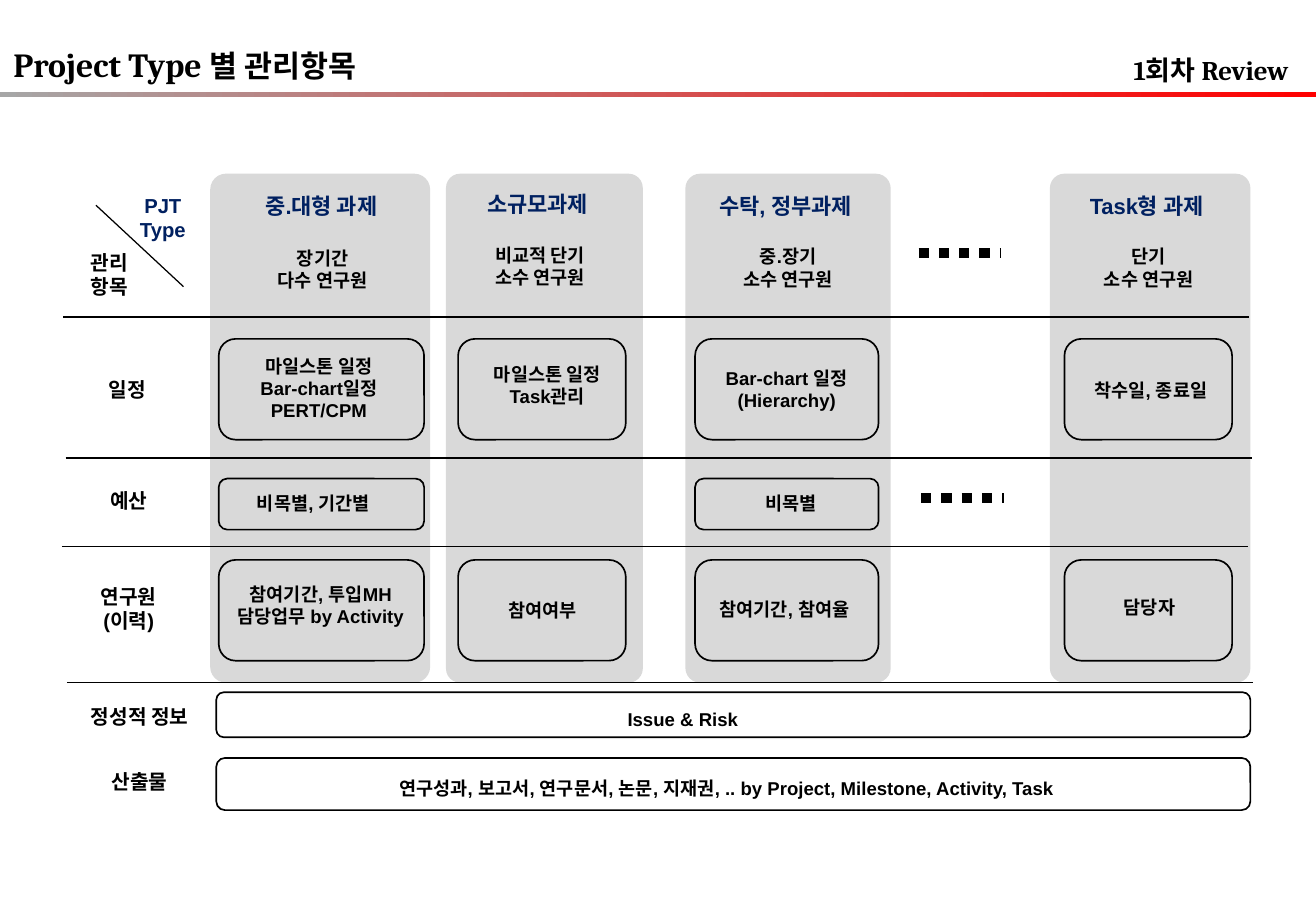
from collections import namedtuple
from dataclasses import dataclass

from lxml import etree
from pptx import Presentation
from pptx.dml.color import RGBColor
from pptx.enum.dml import MSO_LINE
from pptx.enum.shapes import MSO_CONNECTOR, MSO_SHAPE
from pptx.enum.text import MSO_ANCHOR, MSO_AUTO_SIZE, PP_ALIGN
from pptx.oxml.ns import qn
from pptx.util import Inches, Pt

BAR, ROUNDED = MSO_SHAPE.RECTANGLE, MSO_SHAPE.ROUNDED_RECTANGLE
STRAIGHT, DOTTED = MSO_CONNECTOR.STRAIGHT, MSO_LINE.ROUND_DOT
LEFT, CENTER, TOP = PP_ALIGN.LEFT, PP_ALIGN.CENTER, MSO_ANCHOR.TOP
FIXED_SIZE = MSO_AUTO_SIZE.NONE

Box = namedtuple("Box", "left top width height")
# Text offsets (x, y, width) are measured from the column's top left corner
Label = namedtuple("Label", "x y width lines")
Column = namedtuple("Column", "left width card_x card_width head note cards")


@dataclass(frozen=True)
class Theme:
    ink: RGBColor = RGBColor(0x00, 0x00, 0x00)
    navy: RGBColor = RGBColor(0x00, 0x20, 0x60)
    panel: RGBColor = RGBColor(0xD9, 0xD9, 0xD9)
    bar_start: RGBColor = RGBColor(0xA6, 0xA6, 0xA6)
    bar_end: RGBColor = RGBColor(0xFF, 0x00, 0x00)
    heading_font: str = "Cambria"
    body_font: str = "Arial"
    title: int = 20
    title_korean: int = 18
    review: int = 16
    head: int = 13
    label: int = 12
    body: int = 11


THEME = Theme()

# Card rows: top measured from the panel top, and height
CARD_ROWS = {"schedule": (1.36, 0.83), "budget": (2.51, 0.42), "people": (3.18, 0.83)}

COLUMNS = [
    Column(1.73, 1.81, 0.07, 1.69,
           Label(0.3, 0.11, 1.23, ["중.대형 과제"]),
           Label(0.37, 0.55, 1.11, ["장기간", "다수 연구원"]),
           {"schedule": Label(0.25, 1.44, 1.29, ["마일스톤 일정", "Bar-chart일정", "PERT/CPM"]),
            "budget": Label(0.19, 2.57, 1.32, ["비목별, 기간별"]),
            "people": Label(0.01, 3.32, 1.8, ["참여기간, 투입MH", "담당업무 by Activity"])}),
    Column(3.67, 1.62, 0.1, 1.38,
           Label(0.2, 0.09, 1.11, ["소규모과제"]),
           Label(0.21, 0.53, 1.13, ["비교적 단기", "소수 연구원"]),
           {"schedule": Label(0.19, 1.51, 1.29, ["마일스톤 일정", "Task관리"]),
            "people": Label(0.35, 3.45, 0.89, ["참여여부"])}),
    Column(5.64, 1.69, 0.08, 1.51,
           Label(0.12, 0.11, 1.41, ["수탁, 정부과제"]),
           Label(0.29, 0.54, 1.11, ["중.장기", "소수 연구원"]),
           {"schedule": Label(0.16, 1.54, 1.35, ["Bar-chart 일정", "(Hierarchy)"]),
            "budget": Label(0.51, 2.57, 0.72, ["비목별"]),
            "people": Label(0.07, 3.44, 1.49, ["참여기간, 참여율"])}),
    Column(8.64, 1.65, 0.12, 1.38,
           Label(0.2, 0.11, 1.19, ["Task형 과제"]),
           Label(0.26, 0.54, 1.11, ["단기", "소수 연구원"]),
           {"schedule": Label(0.17, 1.64, 1.32, ["착수일, 종료일"]),
            "people": Label(0.46, 3.43, 0.72, ["담당자"])}),
]

# Row labels and rules are measured from the matrix corner
ROW_LABELS = [Label(0.25, 1.63, 0.58, ["일정"]), Label(0.26, 2.54, 0.58, ["예산"]),
              Label(0.17, 3.33, 0.76, ["연구원", "(이력)"])]
ROW_RULES = [(0.01, 1.18), (0.03, 2.34), (0, 3.07), (0.04, 4.19)]
RULE_WIDTH = 9.76


def inches(box):
    return [Inches(length) for length in box]


def style(para, size, color=THEME.ink, name=THEME.body_font, align=CENTER):
    para.alignment = align
    para.font.name, para.font.bold = name, True
    para.font.color.rgb = color
    if size:
        para.font.size = Pt(size)


def add_text(page, left, top, label, size, color=THEME.ink, spacing=None, gap=0):
    height = 0.12 + len(label.lines) * size * 0.0193
    box = Box(left + label.x, top + label.y, label.width, height)
    frame = page.shapes.add_textbox(*inches(box)).text_frame
    frame.word_wrap = False
    for index, line in enumerate(label.lines):
        para = frame.add_paragraph() if index else frame.paragraphs[0]
        para.text = line
        style(para, size, color)
        if spacing:
            para.line_spacing = spacing
        if index and gap:
            para.space_before = Pt(gap)


def add_panel(page, box):
    panel = page.shapes.add_shape(ROUNDED, *inches(box))
    panel.shadow.inherit = False
    panel.adjustments[0] = 0.072
    panel.fill.solid()
    panel.fill.fore_color.rgb = THEME.panel
    panel.line.fill.background()


def add_card(page, box):
    card = page.shapes.add_shape(ROUNDED, *inches(box))
    card.shadow.inherit = False
    card.fill.background()
    card.line.color.rgb = THEME.ink
    card.line.width = Pt(1)


def add_line(page, left, top, width, height=0, weight=0.75, dash=None):
    ends = (left, top, left + width, top + height)
    line = page.shapes.add_connector(STRAIGHT, *inches(ends))
    line.line.color.rgb = THEME.ink
    line.line.width = Pt(weight)
    if dash:
        line.line.dash_style = dash
    etree.SubElement(line._element.spPr, qn("a:effectLst"))


def header(page, box):
    # Gradient bar along the bottom
    bar_box = Box(box.left, box.top + box.height - 0.04, box.width, 0.04)
    bar = page.shapes.add_shape(BAR, *inches(bar_box))
    bar.shadow.inherit = False
    bar.line.fill.background()
    bar.fill.gradient()
    bar.fill.gradient_angle = 0
    for stop, color in zip(bar.fill.gradient_stops, (THEME.bar_start, THEME.bar_end)):
        stop.color.rgb = color

    # Title in two sizes
    title = page.shapes.title
    title.left, title.top, title.width, title.height = inches(
        (box.left + 0.01, box.top + 0.31, 3.14, 0.44))
    frame = title.text_frame
    frame.word_wrap, frame.auto_size, frame.vertical_anchor = False, FIXED_SIZE, TOP
    para = frame.paragraphs[0]
    style(para, None, name=THEME.heading_font, align=LEFT)
    for text, size in (("Project Type ", THEME.title), ("별 관리항목", THEME.title_korean)):
        span = para.add_run()
        span.text, span.font.size = text, Pt(size)

    # Review mark
    review = page.shapes.add_textbox(*inches((box.left + 9.23, box.top + 0.39, 1.58, 0.37)))
    review.text_frame.word_wrap = True
    para = review.text_frame.paragraphs[0]
    para.text = "1회차 Review"
    style(para, THEME.review, name=THEME.heading_font, align=LEFT)


def type_column(page, box, column):
    add_panel(page, box)
    add_text(page, box.left, box.top, column.head, THEME.head, THEME.navy)
    add_text(page, box.left, box.top, column.note, THEME.body)
    for row, label in column.cards.items():
        top, height = CARD_ROWS[row]
        add_card(page, Box(box.left + column.card_x, box.top + top, column.card_width, height))
        add_text(page, box.left, box.top, label, THEME.body)


def row_frame(page, box):
    left, top = box.left, box.top
    # Corner cell with its diagonal
    add_text(page, left, top, Label(0.1, 0.58, 0.58, ["관리", "항목"]), THEME.label)
    add_text(page, left, top, Label(0.54, 0.11, 0.58, ["PJT", "Type"]), THEME.label, THEME.navy)
    add_line(page, left + 0.28, top + 0.26, 0.72, 0.67)
    # Row labels, rules and continuation dots
    for label in ROW_LABELS:
        add_text(page, left, top, label, THEME.label)
    for x, y in ROW_RULES:
        add_line(page, left + x, top + y, RULE_WIDTH)
    for x, y in ((7.05, 0.65), (7.07, 2.67)):
        add_line(page, left + x, top + y, 0.68, weight=6, dash=DOTTED)


def shared_rows(page, box):
    left, top = box.left, box.top
    add_text(page, left, top, Label(0.09, 0.05, 1.1, ["정성적 정보", "산출물"]),
             THEME.label, gap=24)
    outputs = "연구성과, 보고서, 연구문서, 논문, 지재권, .. by Project, Milestone, Activity, Task"
    for y, height, label in ((0, 0.37, Label(4.5, -0.01, 1.22, ["Issue & Risk"])),
                             (0.54, 0.43, Label(2.4, 0.56, 6.14, [outputs]))):
        add_card(page, Box(left + 1.27, top + y, box.width - 1.27, height))
        add_text(page, left, top, label, THEME.body, spacing=1.5)


def main():
    deck = Presentation()
    deck.slide_width, deck.slide_height = Inches(10.83), Inches(7.5)
    page = deck.slides.add_slide(deck.slide_layouts[5])
    header(page, Box(0, 0, 10.83, 0.8))
    for column in COLUMNS:
        type_column(page, Box(column.left, 1.43, column.width, 4.19), column)
    row_frame(page, Box(0.51, 1.43, 9.81, 4.19))
    shared_rows(page, Box(0.51, 5.7, 9.78, 0.97))
    deck.save("out.pptx")


if __name__ == "__main__":
    main()
